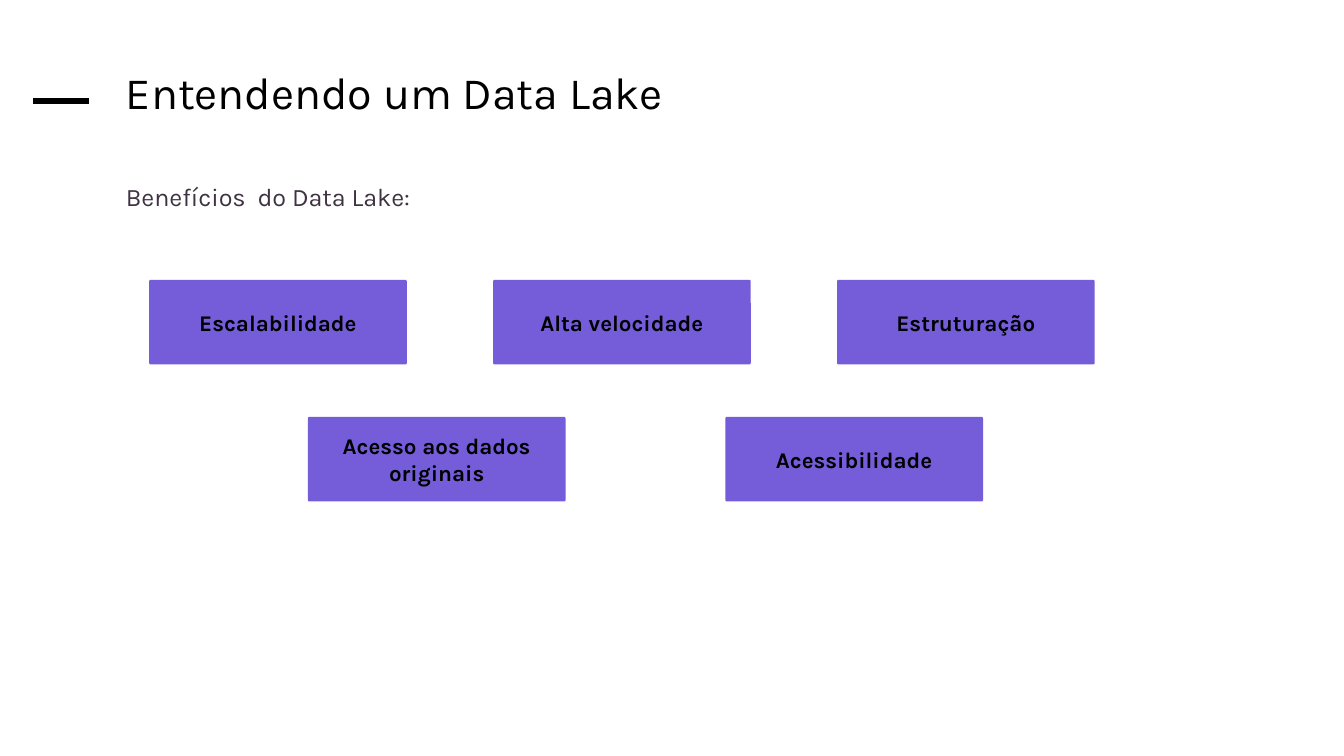
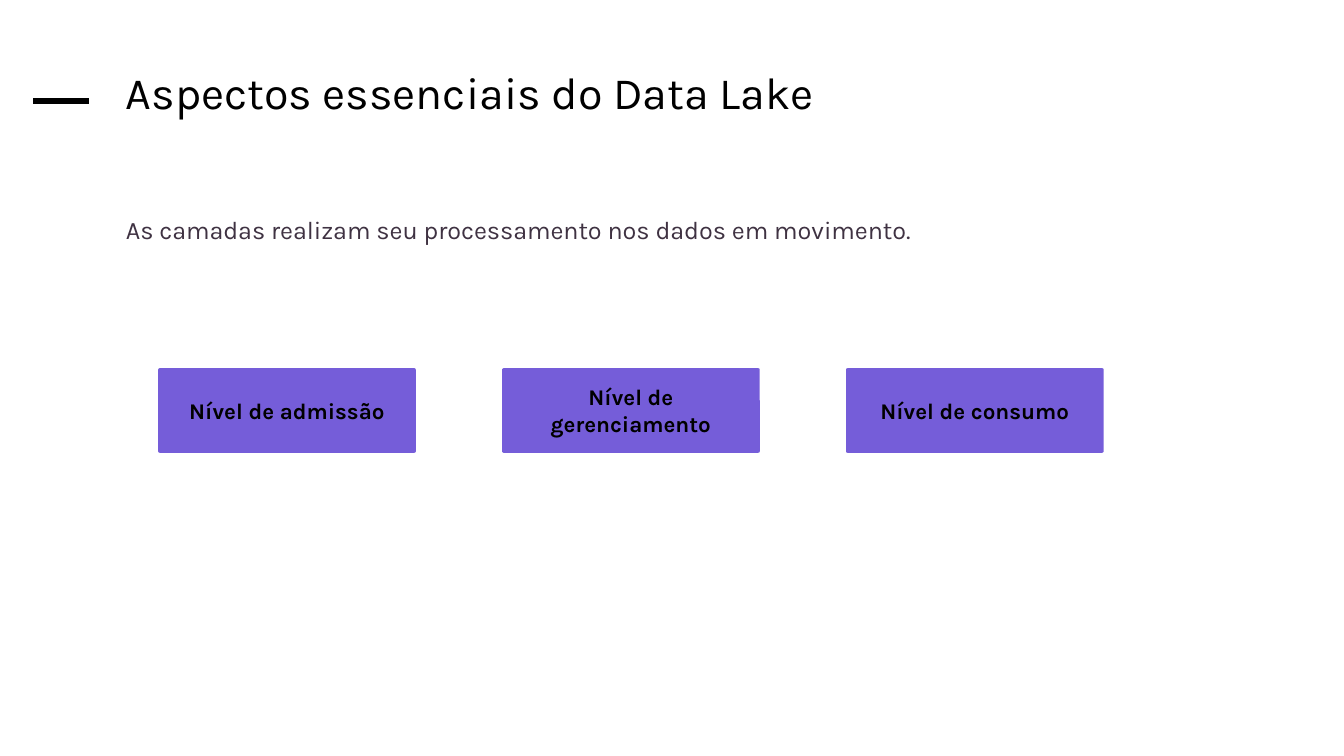
import pptx
import pptx.dml.color
import pptx.enum.shapes
import pptx.enum.text
import pptx.oxml
import pptx.util
from pptx.util import Cm, Pt

RGBColor = pptx.dml.color.RGBColor
BLACK = RGBColor(0x00, 0x00, 0x00)
PLUM = RGBColor(0x3F, 0x32, 0x42)
VIOLET = RGBColor(0x75, 0x5D, 0xD9)
WHITE = RGBColor(0xFF, 0xFF, 0xFF)
FONT = "Karla"

# Lengths in centimetres
TEXT_LEFT = 2.13
CARD_WIDTH, CARD_HEIGHT = 4.87, 1.6

PAGES = [
    {
        "title": "Entendendo um Data Lake",
        "intro": ("Benefícios  do Data Lake:", 3.3, 12.7),
        "rows": [
            {"left": 2.82, "top": 5.29, "pitch": 6.5,
             "labels": ["Escalabilidade", "Alta velocidade", "Estruturação"]},
            {"left": 5.82, "top": 7.88, "pitch": 7.89,
             "labels": ["Acesso aos dados originais", "Acessibilidade"]},
        ],
    },
    {
        "title": "Aspectos essenciais do Data Lake",
        "intro": ("As camadas realizam seu processamento nos dados em movimento.",
                  3.93, 16.4),
        "rows": [
            {"left": 2.99, "top": 6.96, "pitch": 6.5,
             "labels": ["Nível de admissão", "Nível de gerenciamento",
                        "Nível de consumo"]},
        ],
    },
]


def write_text(shape, text, size, color=BLACK, bold=False):
    """Write one wrapping run into the shape and return its paragraph."""
    shape.text_frame.word_wrap = True
    para = shape.text_frame.paragraphs[0]
    span = para.add_run()
    span.text = text
    span.font.name = FONT
    span.font.size = Pt(size)
    span.font.bold = bold
    span.font.color.rgb = color
    return para


def add_heading(page, title):
    dash = page.shapes.add_connector(
        pptx.enum.shapes.MSO_CONNECTOR.STRAIGHT, Cm(0.63), Cm(1.91), Cm(1.68), Cm(1.91))
    dash.line.color.rgb = BLACK
    dash.line.width = Pt(3)
    dash._element.spPr.append(pptx.oxml.parse_xml(
        '<a:effectLst xmlns:a="http://schemas.openxmlformats.org/drawingml/2006/main"/>'))
    box = page.shapes.add_textbox(Cm(TEXT_LEFT), Cm(1.22), Cm(21.16), Cm(1.78))
    write_text(box, title, 24).line_spacing = 0.9


def add_intro(page, text, top, width):
    box = page.shapes.add_textbox(Cm(TEXT_LEFT), Cm(top), Cm(width), Cm(0.84))
    write_text(box, text, 13.5, PLUM)
    box.text_frame.auto_size = pptx.enum.text.MSO_AUTO_SIZE.SHAPE_TO_FIT_TEXT


def add_card(page, left, top, label):
    card = page.shapes.add_shape(
        pptx.enum.shapes.MSO_SHAPE.ROUNDED_RECTANGLE,
        Cm(left), Cm(top), Cm(CARD_WIDTH), Cm(CARD_HEIGHT))
    card.adjustments[0] = 0.019
    card.shadow.inherit = False
    card.fill.solid()
    card.fill.fore_color.rgb = VIOLET
    card.line.fill.background()
    card.text_frame.vertical_anchor = pptx.enum.text.MSO_ANCHOR.MIDDLE
    para = write_text(card, label, 12, bold=True)
    para.alignment = pptx.enum.text.PP_ALIGN.CENTER


def add_page(deck, content):
    page = deck.slides.add_slide(deck.slide_layouts[6])
    page.background.fill.solid()
    page.background.fill.fore_color.rgb = WHITE
    add_heading(page, content["title"])
    add_intro(page, *content["intro"])
    for row in content["rows"]:
        for column, label in enumerate(row["labels"]):
            add_card(page, row["left"] + column * row["pitch"], row["top"], label)


def main():
    deck = pptx.Presentation()
    deck.slide_width, deck.slide_height = Cm(25.4), Cm(14.29)
    for content in PAGES:
        add_page(deck, content)
    deck.save("out.pptx")


if __name__ == "__main__":
    main()
